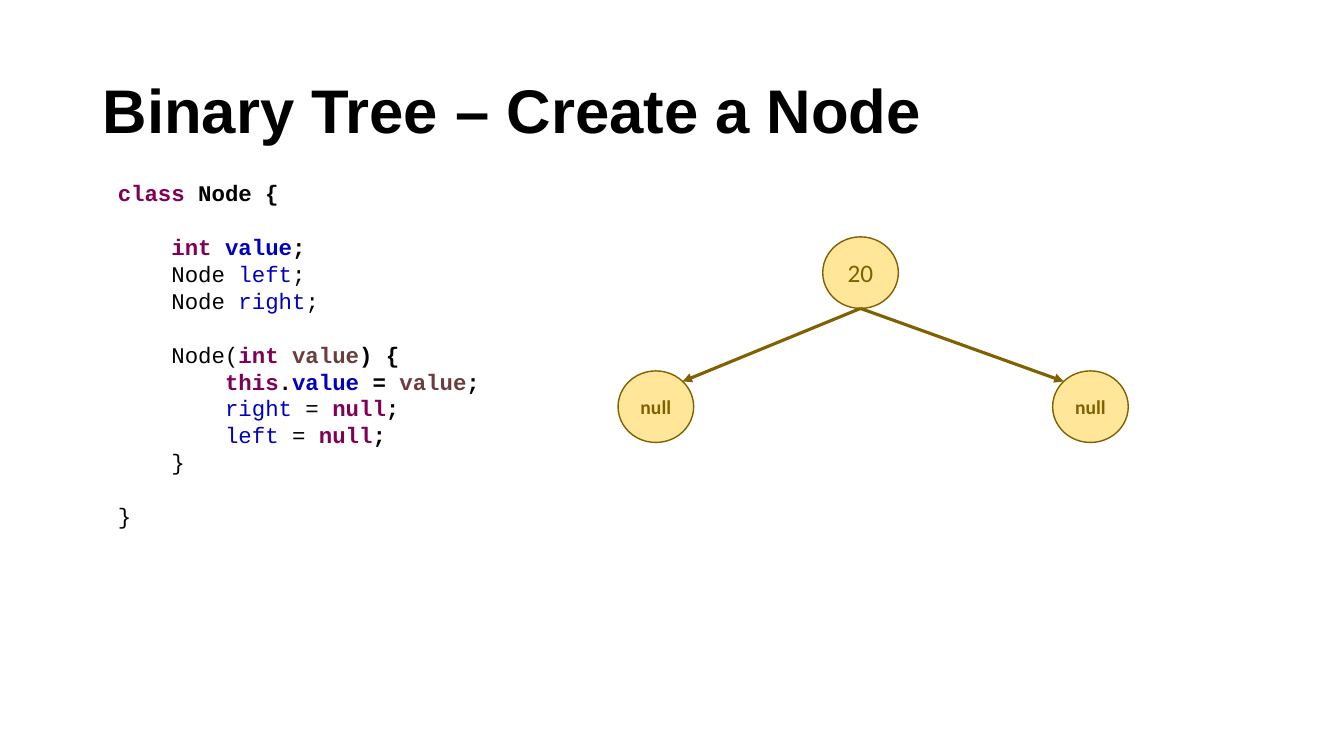
import math

import pptx
import pptx.dml.color
import pptx.enum.shapes
import pptx.enum.text
import pptx.oxml
import pptx.oxml.ns
import pptx.util

Inches, Pt = pptx.util.Inches, pptx.util.Pt
ALIGN = pptx.enum.text.PP_ALIGN
ANCHOR = pptx.enum.text.MSO_ANCHOR

TITLE = "Binary Tree – Create a Node"

# Code styles: colour, bold
STYLES = {
    "keyword": ("7F0055", True),
    "field": ("0000C0", False),
    "bold field": ("0000C0", True),
    "argument": ("6A3E3E", True),
    "plain": ("000000", False),
    "bold": ("000000", True),
}
# Blocks of code lines, separated by one line of space
CODE_BLOCKS = [
    [
        [("class", "keyword"), (" Node {", "bold")],
    ],
    [
        [("    int ", "keyword"), ("value", "bold field"), (";", "bold")],
        [("    Node ", "plain"), ("left", "field"), (";", "plain")],
        [("    Node ", "plain"), ("right", "field"), (";", "plain")],
    ],
    [
        [("    Node(", "plain"), ("int ", "keyword"), ("value", "argument"), (") {", "bold")],
        [("        ", "plain"), ("this", "keyword"), (".", "bold"), ("value", "bold field"),
         (" = ", "bold"), ("value", "argument"), (";", "bold")],
        [("        ", "plain"), ("right", "field"), (" = ", "plain"), ("null", "keyword"), (";", "bold")],
        [("        ", "plain"), ("left", "field"), (" = ", "plain"), ("null", "keyword"), (";", "bold")],
        [("    }", "plain")],
    ],
    [
        [("}", "plain")],
    ],
]
CODE_GAP = 19.3

# Tree nodes: text, left, top, size, bold
ROOT = ("20", 8.16, 2.35, 18, False)
CHILDREN = [("null", 6.13, 3.68, 14, True), ("null", 10.44, 3.68, 14, True)]
NODE_WIDTH, NODE_HEIGHT = 0.75, 0.71
NODE_FILL, NODE_LINE = "FFE699", "806000"


def rgb(value):
    return pptx.dml.color.RGBColor.from_string(value)


def add_span(para, text, name, size, color, bold):
    span = para.add_run()
    span.text = text
    for key, value in {"name": name, "size": Pt(size), "bold": bold}.items():
        setattr(span.font, key, value)
    span.font.color.rgb = rgb(color)


def set_frame(frame, **values):
    for key, value in values.items():
        setattr(frame, key, value)


def add_title(page):
    title = page.shapes.title
    place = {"left": 0.92, "top": 0.4, "width": 11.5, "height": 1.45}
    for key, value in place.items():
        setattr(title, key, Inches(value))
    set_frame(title.text_frame, vertical_anchor=ANCHOR.MIDDLE, word_wrap=True)
    para = title.text_frame.paragraphs[0]
    para.alignment = ALIGN.LEFT
    para.line_spacing = 0.9
    add_span(para, TITLE, "Arial", 44, "000000", True)


def add_code(page):
    box = page.shapes.add_textbox(Inches(1.07), Inches(1.73), Inches(3.83), Inches(3.6))
    frame = box.text_frame
    set_frame(frame, word_wrap=True)
    for block_index, block in enumerate(CODE_BLOCKS):
        for line_index, line in enumerate(block):
            first = block_index == line_index == 0
            para = frame.paragraphs[0] if first else frame.add_paragraph()
            if line_index == 0 and not first:
                para.space_before = Pt(CODE_GAP)
            for text, style in line:
                add_span(para, text, "Courier New", 16, *STYLES[style])


def add_node(page, text, left, top, size, bold):
    node = page.shapes.add_shape(
        pptx.enum.shapes.MSO_SHAPE.OVAL,
        Inches(left), Inches(top), Inches(NODE_WIDTH), Inches(NODE_HEIGHT))
    node.shadow.inherit = False
    node.fill.solid()
    node.fill.fore_color.rgb = rgb(NODE_FILL)
    node.line.color.rgb = rgb(NODE_LINE)
    node.line.width = Pt(1)
    set_frame(node.text_frame, vertical_anchor=ANCHOR.MIDDLE, word_wrap=False)
    para = node.text_frame.paragraphs[0]
    para.alignment = ALIGN.CENTER
    add_span(para, text, "Calibri", size, NODE_LINE, bold)


def add_branch(page, parent, child):
    """Draw an arrow from the parent's bottom to the child's facing upper corner."""
    start_x = parent[1] + NODE_WIDTH / 2
    start_y = parent[2] + NODE_HEIGHT
    center_x = child[1] + NODE_WIDTH / 2
    side = math.copysign(1, start_x - center_x)
    diagonal = math.sqrt(0.5)
    end_x = center_x + side * diagonal * NODE_WIDTH / 2
    end_y = child[2] + (1 - diagonal) * NODE_HEIGHT / 2
    branch = page.shapes.add_connector(
        pptx.enum.shapes.MSO_CONNECTOR.STRAIGHT,
        Inches(start_x), Inches(start_y), Inches(end_x), Inches(end_y))
    branch.line.color.rgb = rgb(NODE_LINE)
    branch.line.width = Pt(2.25)
    namespace = pptx.oxml.ns.nsdecls("a")
    arrow = pptx.oxml.parse_xml(f'<a:tailEnd {namespace} type="triangle"/>')
    branch.line._get_or_add_ln().append(arrow)
    properties = branch._element.spPr
    properties.append(pptx.oxml.parse_xml(f"<a:effectLst {namespace}/>"))


def main():
    deck = pptx.Presentation()
    deck.slide_width, deck.slide_height = Inches(13.33), Inches(7.5)
    page = deck.slides.add_slide(deck.slide_layouts[5])
    add_title(page)
    add_code(page)
    for node in [ROOT, *CHILDREN]:
        add_node(page, *node)
    for child in CHILDREN:
        add_branch(page, ROOT, child)
    deck.save("out.pptx")


if __name__ == "__main__":
    main()
